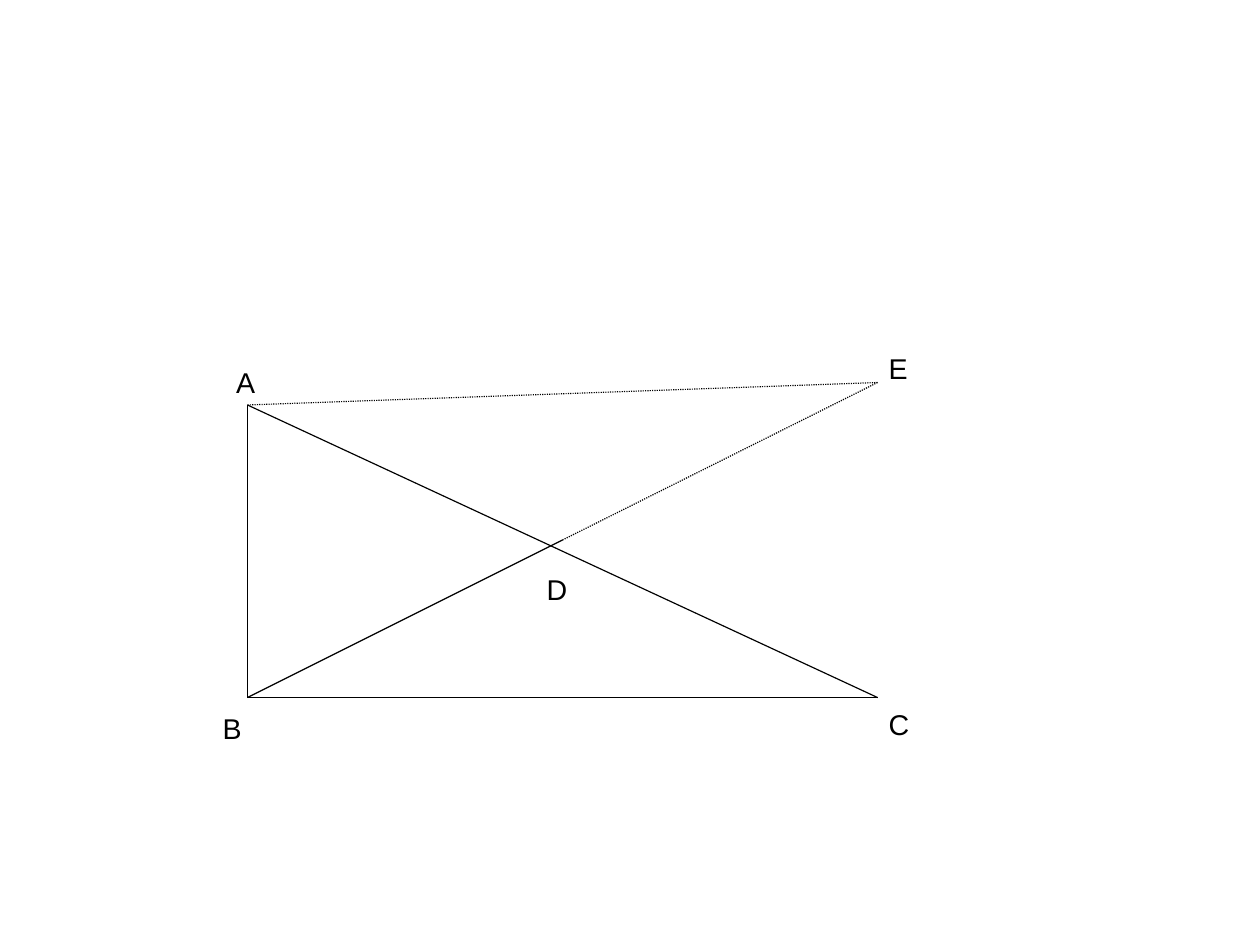
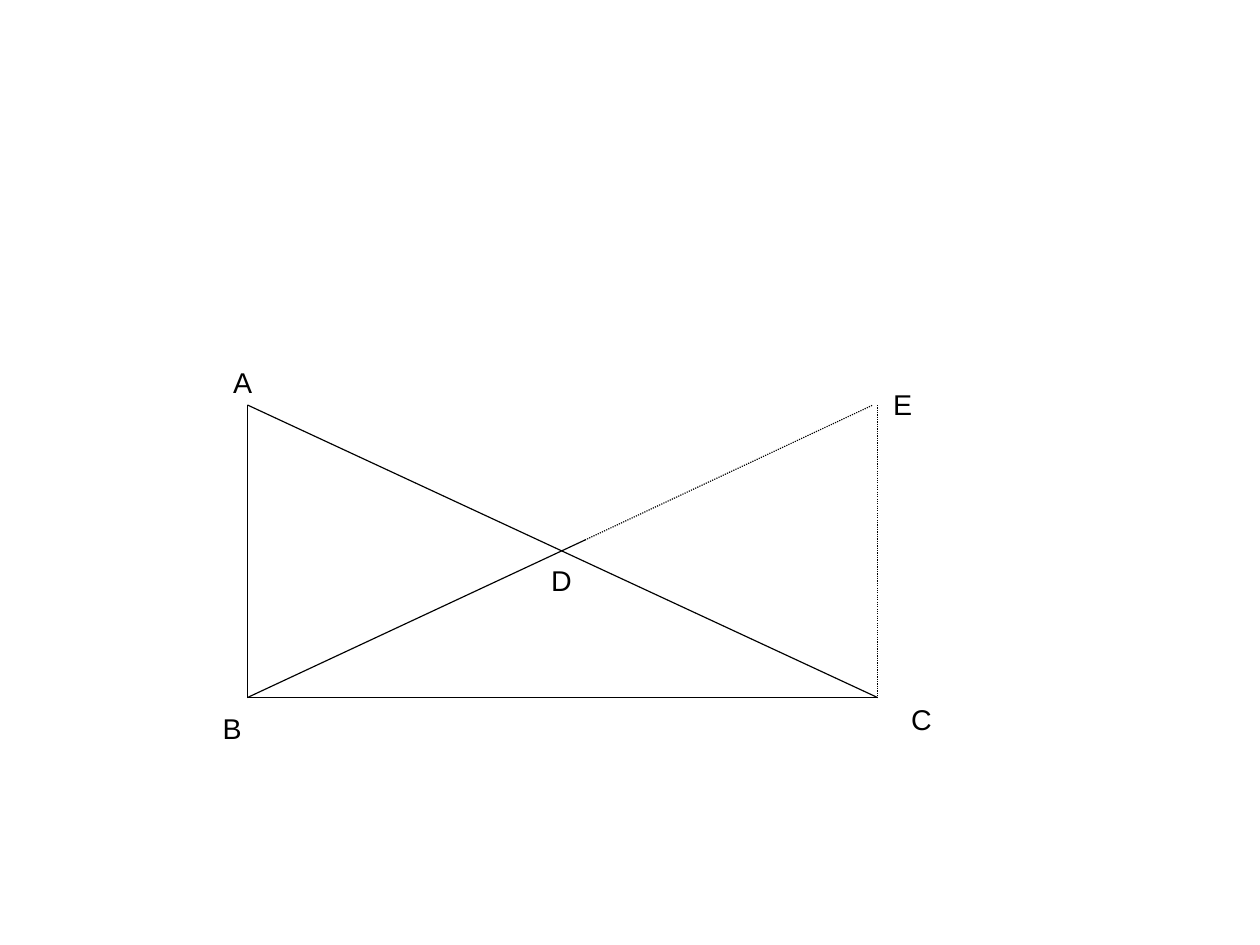
from pptx import Presentation
from pptx.dml.color import RGBColor
from pptx.enum.dml import MSO_LINE_DASH_STYLE as Dash
from pptx.enum.shapes import MSO_CONNECTOR as Connector
from pptx.enum.text import MSO_ANCHOR as Anchor, PP_ALIGN as Align
from pptx.oxml.ns import qn
from pptx.util import Cm, Pt
from lxml.etree import SubElement

# All lengths are centimetres
SIZE = (28, 21)
COLORS = {"ink": "000000"}
FONT, FONT_SIZE, LINE_WIDTH = "Arial", 18, 0.75
LABEL_HEIGHT = 0.96
LABEL_WIDTHS = {"A": 0.91, "B": 0.91, "C": 0.96, "D": 0.96, "E": 0.91}
INSETS = {"left": 0.25, "top": 0.17, "right": 0.25, "bottom": 0.13}

# Triangle ABC is the same on both pages
TRIANGLE = {"A": (5.5, 9), "B": (5.5, 15.5), "C": (19.5, 15.5)}
SOLID = ["CB", "AB", "AC", "BD"]

# Per page: further points, dotted sides, and the corner of each label
FIGURES = [
    {
        "points": {"D": (12.5, 12), "E": (19.5, 8.5)},
        "dotted": ["DE", "AE"],
        "labels": {"A": (5, 8), "B": (4.7, 15.7), "C": (19.5, 15.6),
                   "D": (11.9, 12.6), "E": (19.5, 7.7)},
    },
    {
        "points": {"D": (13, 12), "E": (19.4, 9), "F": (19.5, 9)},
        "dotted": ["DE", "FC"],
        "labels": {"A": (4.93, 8), "B": (4.7, 15.7), "C": (20, 15.5),
                   "D": (12, 12.4), "E": (19.6, 8.5)},
    },
]


def ink():
    return RGBColor.from_string(COLORS["ink"])


def add_side(page, start, end, dotted):
    side = page.shapes.add_connector(
        Connector.STRAIGHT, *(Cm(value) for value in start + end))
    side.line.color.rgb = ink()
    side.line.width = Pt(LINE_WIDTH)
    if dotted:
        side.line.dash_style = Dash.ROUND_DOT
    SubElement(side._element.spPr, qn("a:effectLst"))


def add_label(page, letter, corner):
    size = (LABEL_WIDTHS[letter], LABEL_HEIGHT)
    box = page.shapes.add_textbox(*(Cm(value) for value in corner + size))
    frame = box.text_frame
    frame.text = letter
    frame.word_wrap = False
    frame.vertical_anchor = Anchor.TOP
    for edge, inset in INSETS.items():
        setattr(frame, f"margin_{edge}", Cm(inset))
    para = frame.paragraphs[0]
    para.alignment = Align.LEFT
    para.line_spacing = 0.93
    span = para.runs[0]
    span.font.name = FONT
    span.font.size = Pt(FONT_SIZE)
    span.font.color.rgb = ink()


def main():
    deck = Presentation()
    deck.slide_width, deck.slide_height = (Cm(value) for value in SIZE)
    for figure in FIGURES:
        page = deck.slides.add_slide(deck.slide_layouts[6])
        points = {**TRIANGLE, **figure["points"]}
        for sides, dotted in ((SOLID, False), (figure["dotted"], True)):
            for start, end in sides:
                add_side(page, points[start], points[end], dotted)
        for letter, corner in figure["labels"].items():
            add_label(page, letter, corner)
    deck.save("out.pptx")


if __name__ == "__main__":
    main()
